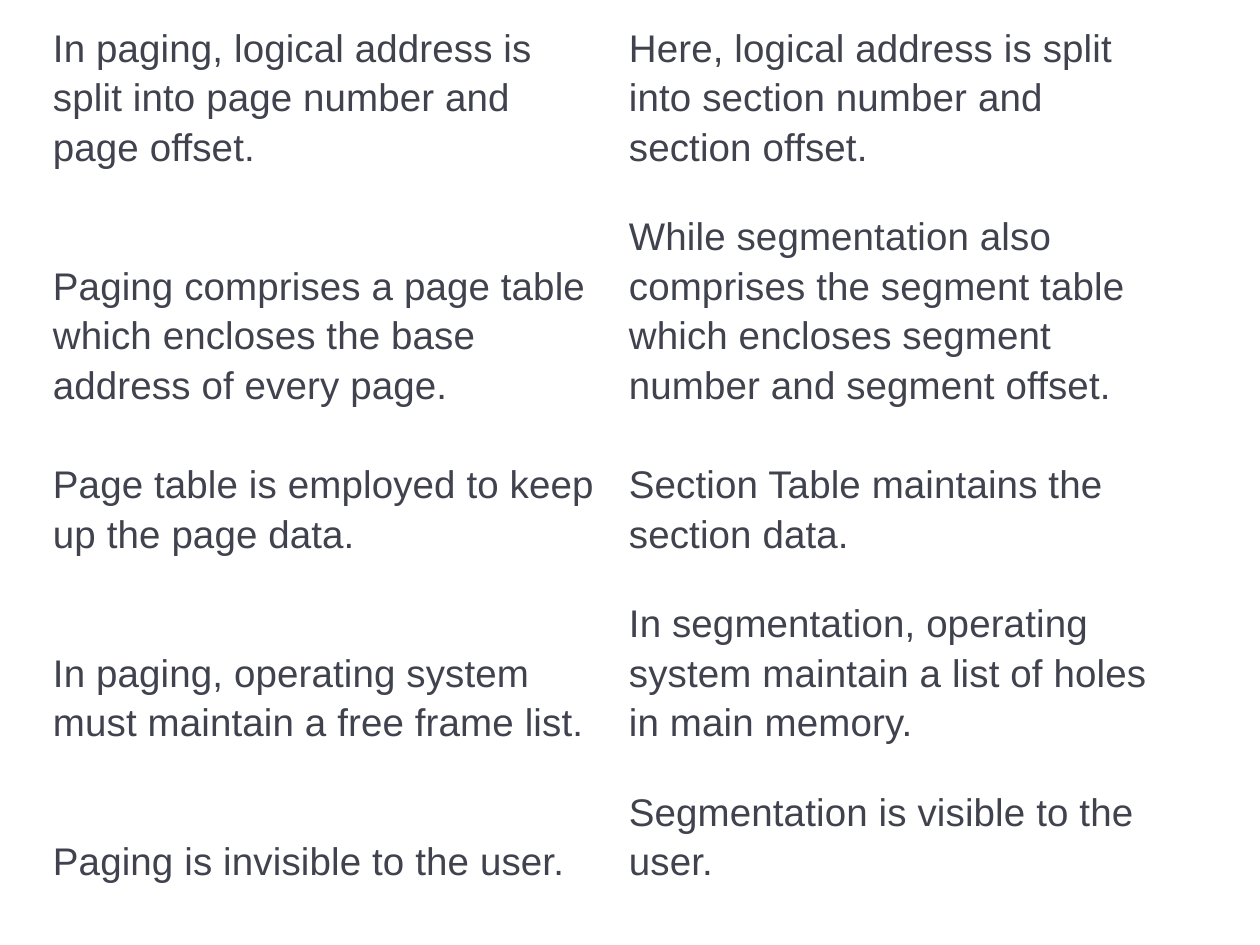
"""Build a two-column slide comparing paging with segmentation."""
import pptx
import pptx.dml.color
import pptx.enum.text
import pptx.util

WHITE = pptx.dml.color.RGBColor(0xFF, 0xFF, 0xFF)
SLATE = pptx.dml.color.RGBColor(0x40, 0x42, 0x4E)

COMPARISON = [
    ("In paging, logical address is split into page number and page offset.",
     "Here, logical address is split into section number and section offset."),
    ("Paging comprises a page table which encloses the base address of every page.",
     "While segmentation also comprises the segment table which encloses "
     "segment number and segment offset."),
    ("Page table is employed to keep up the page data.",
     "Section Table maintains the section data."),
    ("In paging, operating system must maintain a free frame list.",
     "In segmentation, operating system maintain a list of holes in main memory."),
    ("Paging is invisible to the user.",
     "Segmentation is visible to the user."),
]
ROW_HEIGHTS = [186, 238, 149, 186, 136]
COLUMN_WIDTH = 576
TABLE_LEFT, TABLE_TOP, TABLE_HEIGHT = 39, 1, 944
MARGIN_X, MARGIN_Y = 14, 20


def px(length):
    return pptx.util.Emu(round(length * 914400 / 126))


def write_cell(cell, text, *, size, color, font, line_spacing, tracking):
    cell.fill.solid()
    cell.fill.fore_color.rgb = WHITE
    cell.vertical_anchor = pptx.enum.text.MSO_ANCHOR.BOTTOM
    cell.margin_left = cell.margin_right = px(MARGIN_X)
    cell.margin_top = cell.margin_bottom = px(MARGIN_Y)
    paragraph = cell.text_frame.paragraphs[0]
    paragraph.line_spacing = line_spacing
    run = paragraph.add_run()
    run.text = text
    run.font.size = pptx.util.Pt(size)
    run.font.name = font
    run.font.color.rgb = color
    run._r.get_or_add_rPr().set("spc", str(round(tracking * 100)))


def main():
    presentation = pptx.Presentation()
    presentation.slide_width, presentation.slide_height = px(1260), px(945)
    slide = presentation.slides.add_slide(presentation.slide_layouts[6])
    column_count = len(COMPARISON[0])
    frame = slide.shapes.add_table(
        len(COMPARISON), column_count, px(TABLE_LEFT), px(TABLE_TOP),
        px(COLUMN_WIDTH * column_count), px(TABLE_HEIGHT))
    table = frame.table
    table.first_row = table.horz_banding = False
    for row, height, texts in zip(table.rows, ROW_HEIGHTS, COMPARISON):
        row.height = px(height)
        for cell, text in zip(row.cells, texts):
            write_cell(cell, text, size=22, color=SLATE, font="Arial",
                       line_spacing=1.15, tracking=0.1)
    frame.height = px(TABLE_HEIGHT)
    presentation.save("out.pptx")


if __name__ == "__main__":
    main()
